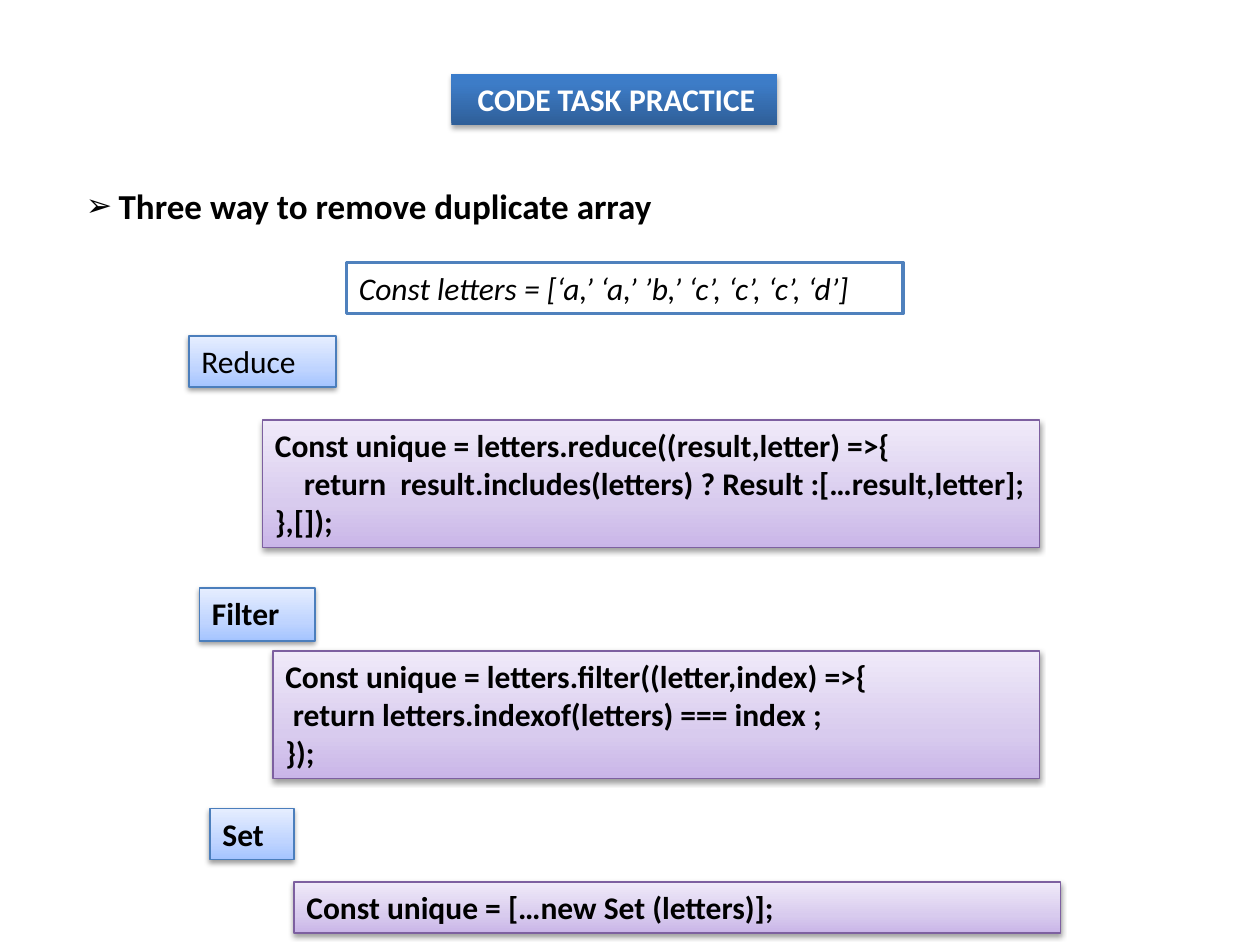
from dataclasses import dataclass, field
from typing import Any, Optional

from pptx import Presentation
from pptx import util as u
from pptx.dml.color import RGBColor
from pptx.enum import shapes, text
from pptx.oxml import parse_xml
from pptx.oxml.ns import nsdecls


@dataclass(frozen=True)
class Style:
    fill: Any = None  # one colour, or a tuple of (percent, colour) stops
    line: Optional[str] = None
    line_width: float = 0.75
    shadow: Optional[tuple[float, float]] = None  # alpha percent, distance in points
    ink: str = "000000"
    font: dict[str, Any] = field(default_factory=dict)


@dataclass(frozen=True)
class Theme:
    face: str = "Calibri"
    body: float = 18
    line_height: float = 0.305
    padding: float = 0.1
    header: Style = Style(((0, "2F5F99"), (80, "3D7CC7"), (100, "3A7CCB")),
                          shadow=(35, 1.8), ink="FFFFFF", font={"bold": True})
    topic: Style = Style(font={"bold": True, "size": u.Pt(20)})
    sample: Style = Style("FFFFFF", "4F81BD", 2, font={"italic": True})
    method: Style = Style(((0, "A4C4FF"), (35, "BFD4FF"), (100, "E6EEFF")),
                          "4B7EBC", shadow=(38, 1.6))
    code: Style = Style(((0, "C9B5E8"), (35, "D8CBEE"), (100, "F0EAF9")),
                        "7D60A0", shadow=(38, 1.6), font={"bold": True})


@dataclass(frozen=True)
class Line:
    words: str
    indent: float = 0
    bullet: Optional[str] = None


@dataclass(frozen=True)
class Box:
    col: int
    row: int
    cols: int
    style: Style
    lines: tuple[Line, ...]
    font: dict[str, Any] = field(default_factory=dict)
    height: Optional[float] = None


THEME = Theme()
WIDTH, HEIGHT = 10, 7.5
UNIT = WIDTH / 120  # the grid has 120 columns and 90 rows
BOLD = {"bold": True}

BOXES = (
    # Heading and topic
    Box(43, 7, 31, THEME.header, (Line("CODE TASK PRACTICE", 0.11),)),
    Box(7, 17, 69, THEME.topic,
        (Line("Three way to remove duplicate array", 0.26, "\u27a2"),), height=0.44),
    # Sample array
    Box(33, 25, 53, THEME.sample,
        (Line("Const letters = [‘a,’ ‘a,’ ’b,’ ‘c’, ‘c’, ‘c’, ‘d’]"),)),
    # Reduce
    Box(18, 32, 14, THEME.method, (Line("Reduce"),)),
    Box(25, 40, 74, THEME.code, (
        Line("Const unique = letters.reduce((result,letter) =>{"),
        Line("return  result.includes(letters) ? Result :[…result,letter];", 0.23),
        Line("},[]);"))),
    # Filter
    Box(19, 56, 11, THEME.method, (Line("Filter"),), BOLD, 0.42),
    Box(26, 62, 73, THEME.code, (
        Line("Const unique = letters.filter((letter,index) =>{"),
        Line("return letters.indexof(letters) === index ;", 0.06),
        Line("});"))),
    # Set
    Box(20, 77, 8, THEME.method, (Line("Set"),), BOLD),
    Box(28, 84, 73, THEME.code, (Line("Const unique = […new Set (letters)];"),)),
)


def paint_gradient(shape: Any, stops: tuple) -> None:
    """Run the stops from the bottom edge to the top edge."""
    shape.fill.gradient()
    shape.fill.gradient_angle = 90
    stop_list = shape.fill._fill._gradFill.gsLst
    stop_list.clear()
    for percent, colour in stops:
        stop_list.append(parse_xml(
            f'<a:gs {nsdecls("a")} pos="{percent * 1000}"><a:srgbClr val="{colour}"/></a:gs>'))


def cast_shadow(shape: Any, alpha: float, distance: float) -> None:
    effects = shape._element.spPr.find(
        "{http://schemas.openxmlformats.org/drawingml/2006/main}effectLst")
    effects.append(parse_xml(
        f'<a:outerShdw {nsdecls("a")} blurRad="{u.Pt(3.1)}" dist="{u.Pt(distance)}" '
        f'dir="5400000" rotWithShape="0"><a:srgbClr val="000000">'
        f'<a:alpha val="{alpha * 1000}"/></a:srgbClr></a:outerShdw>'))


def write_line(paragraph: Any, line: Line, style: Style, font: dict[str, Any]) -> None:
    paragraph.alignment = text.PP_ALIGN.LEFT
    properties = paragraph._p.get_or_add_pPr()
    properties.set("marL", str(u.Inches(line.indent)))
    if line.bullet:
        properties.set("indent", str(-u.Inches(line.indent)))
        for tag in ('buSzPct {} val="90000"', 'buFont {} typeface="Arial"',
                    f'buChar {{}} char="{line.bullet}"'):
            properties.append(parse_xml(f'<a:{tag.format(nsdecls("a"))}/>'))
    run = paragraph.add_run()
    run.text = line.words
    values = {"name": THEME.face, "size": u.Pt(THEME.body), **style.font, **font}
    for name, value in values.items():
        setattr(run.font, name, value)
    run.font.color.rgb = RGBColor.from_string(style.ink)


def draw_box(slide: Any, box: Box) -> None:
    style = box.style
    height = box.height or THEME.padding + THEME.line_height * len(box.lines)
    place = [u.Inches(n) for n in (box.col * UNIT, box.row * UNIT, box.cols * UNIT, height)]
    if style.fill is None:
        shape = slide.shapes.add_textbox(*place)
    else:
        shape = slide.shapes.add_shape(shapes.MSO_SHAPE.RECTANGLE, *place)
        shape.shadow.inherit = False
        if isinstance(style.fill, str):
            shape.fill.solid()
            shape.fill.fore_color.rgb = RGBColor.from_string(style.fill)
        else:
            paint_gradient(shape, style.fill)
        if style.line:
            shape.line.color.rgb = RGBColor.from_string(style.line)
            shape.line.width = u.Pt(style.line_width)
        else:
            shape.line.fill.background()
        if style.shadow:
            cast_shadow(shape, *style.shadow)

    frame = shape.text_frame
    frame_format = {"word_wrap": True, "vertical_anchor": text.MSO_ANCHOR.TOP,
                    "auto_size": text.MSO_AUTO_SIZE.SHAPE_TO_FIT_TEXT}
    for name, value in frame_format.items():
        setattr(frame, name, value)
    for index, line in enumerate(box.lines):
        paragraph = frame.add_paragraph() if index else frame.paragraphs[0]
        write_line(paragraph, line, style, box.font)


deck = Presentation()
deck.slide_width, deck.slide_height = u.Inches(WIDTH), u.Inches(HEIGHT)
practice = deck.slides.add_slide(deck.slide_layouts[6])
for box in BOXES:
    draw_box(practice, box)
deck.save("out.pptx")
